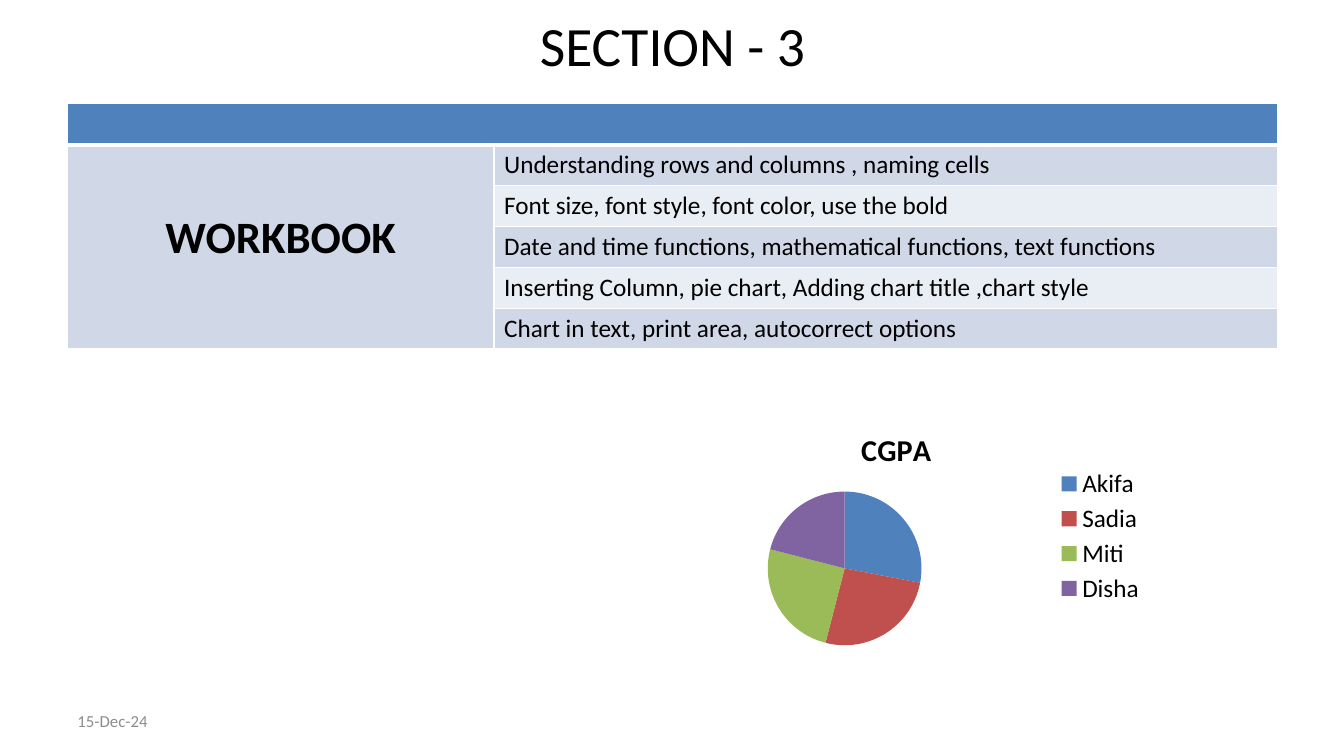
"""Build the Section 3 slide: a topic table, a CGPA pie chart and a date."""
from lxml import etree
from pptx import Presentation
from pptx.chart.data import CategoryChartData
from pptx.dml.color import RGBColor
from pptx.enum.chart import XL_CHART_TYPE, XL_LEGEND_POSITION
from pptx.enum.text import MSO_ANCHOR, PP_ALIGN
from pptx.oxml import parse_xml
from pptx.oxml.ns import nsdecls, qn
from pptx.util import Inches, Pt

PIE = XL_CHART_TYPE.PIE
RIGHT = XL_LEGEND_POSITION.RIGHT
MIDDLE = MSO_ANCHOR.MIDDLE
CENTER = PP_ALIGN.CENTER

FONT = "Calibri"
BLACK = "000000"
MARGIN, CONTENT_WIDTH = 0.67, 12
HEADER_FILL = "4F81BD"
BAND_FILLS = ["D0D8E8", "E9EDF4"]
ROW_HEIGHT = 0.405
TOPICS = [
    "Understanding rows and columns , naming cells",
    "Font size, font style, font color, use the bold",
    "Date and time functions, mathematical functions, text functions",
    "Inserting Column, pie chart, Adding chart title ,chart style",
    "Chart in text, print area, autocorrect options",
]
STUDENTS = [
    ("Akifa", 28, "4F81BD"),
    ("Sadia", 26, "C0504D"),
    ("Miti", 25, "9BBB59"),
    ("Disha", 21, "8064A2"),
]


def write(frame, text, size, color=BLACK, bold=False, align=None):
    """Add one formatted run to the first paragraph of a text frame."""
    paragraph = frame.paragraphs[0]
    paragraph.alignment = align
    run = paragraph.add_run()
    run.text = text
    run.font.name = FONT
    run.font.size = Pt(size)
    run.font.bold = bold
    run.font.color.rgb = RGBColor.from_string(color)


def manual_layout(inner, **shares):
    """Return a chart layout element from shares of the chart's size."""
    layout = etree.Element(qn("c:layout"))
    manual = etree.SubElement(layout, qn("c:manualLayout"))
    if inner:
        etree.SubElement(manual, qn("c:layoutTarget"), val="inner")
    for mode in ("xMode", "yMode"):
        etree.SubElement(manual, qn(f"c:{mode}"), val="edge")
    for side, share in shares.items():
        etree.SubElement(manual, qn(f"c:{side}"), val=str(share))
    return layout


presentation = Presentation()
presentation.slide_width = Inches(13.33)
presentation.slide_height = Inches(7.5)
slide = presentation.slides.add_slide(presentation.slide_layouts[5])

title = slide.shapes.title
title.left, title.top = Inches(MARGIN), Inches(0.19)
title.width, title.height = Inches(CONTENT_WIDTH), Inches(0.5)
title.text_frame.vertical_anchor = MIDDLE
write(title.text_frame, "SECTION - 3", 39.6, align=CENTER)

row_count = len(TOPICS) + 1
table = slide.shapes.add_table(
    row_count, 2, Inches(MARGIN), Inches(1.03),
    Inches(CONTENT_WIDTH), Inches(ROW_HEIGHT * row_count)).table
table.columns[0].width = Inches(4.23)
table.columns[1].width = Inches(CONTENT_WIDTH - 4.23)

for row in range(row_count):
    for column in range(2):
        cell = table.cell(row, column)
        if row == 0:
            fill = HEADER_FILL
        else:
            fill = BAND_FILLS[(row - 1) % 2 if column else 0]
        cell.fill.solid()
        cell.fill.fore_color.rgb = RGBColor.from_string(fill)
        properties = cell._tc.get_or_add_tcPr()
        for index, side in enumerate("LRTB"):
            thick = (row == 0 and side == "B") or (row == 1 and side == "T")
            properties.insert(index, parse_xml(
                f'<a:ln{side} {nsdecls("a")} w="{Pt(3 if thick else 1)}"><a:solidFill>'
                f'<a:srgbClr val="FFFFFF"/></a:solidFill></a:ln{side}>'))

table.cell(0, 0).merge(table.cell(0, 1))
table.cell(1, 0).merge(table.cell(row_count - 1, 0))
subject = table.cell(1, 0)
subject.vertical_anchor = MIDDLE
subject.margin_bottom = Inches(0.23)
write(subject.text_frame, "WORKBOOK", 32, bold=True, align=CENTER)
for row, topic in enumerate(TOPICS, start=1):
    write(table.cell(row, 1).text_frame, topic, 18)

date = slide.shapes.add_textbox(
    Inches(MARGIN), Inches(6.95), Inches(3.11), Inches(0.4)).text_frame
date.word_wrap = True
date.vertical_anchor = MIDDLE
write(date, "15-Dec-24", 12, "8C8C8C")

names, grades, colors = zip(*STUDENTS)
data = CategoryChartData()
data.categories = names
data.add_series("CGPA", grades)
chart = slide.shapes.add_chart(
    PIE, Inches(6.33), Inches(4.09), Inches(5.12), Inches(2.46), data).chart
chart.font.name = FONT
chart.font.size = Pt(18)
chart.font.color.rgb = RGBColor.from_string(BLACK)
chart.has_title = True
write(chart.chart_title.text_frame, "CGPA", 21.6, bold=True)
chart.has_legend = True
chart.legend.position = RIGHT
chart.legend.include_in_layout = False

plot = chart.plots[0]
plot.vary_by_categories = True
for index, color in enumerate(colors):
    slice_fill = plot.series[0].points[index].format.fill
    slice_fill.solid()
    slice_fill.fore_color.rgb = RGBColor.from_string(color)

plot_area = chart._chartSpace.chart.plotArea
legend = chart.legend._element
for parent in (plot_area, legend):
    for layout in parent.findall(qn("c:layout")):
        parent.remove(layout)
plot_area.insert(0, manual_layout(True, x=0.25, y=0.32, w=0.3, h=0.62))
legend.find(qn("c:legendPos")).addnext(
    manual_layout(False, x=0.81, y=0.21, w=0.17, h=0.58))

presentation.save("out.pptx")
